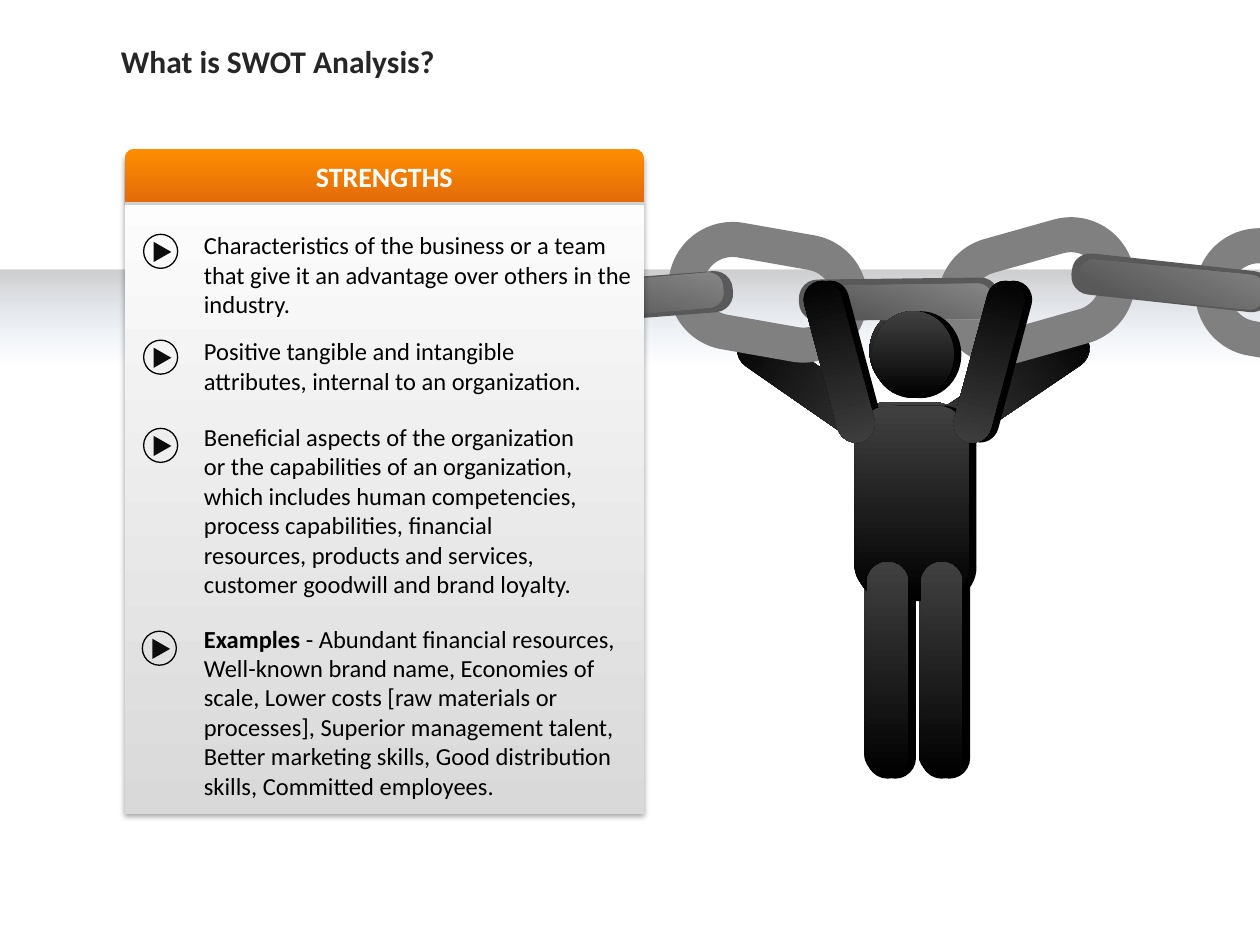
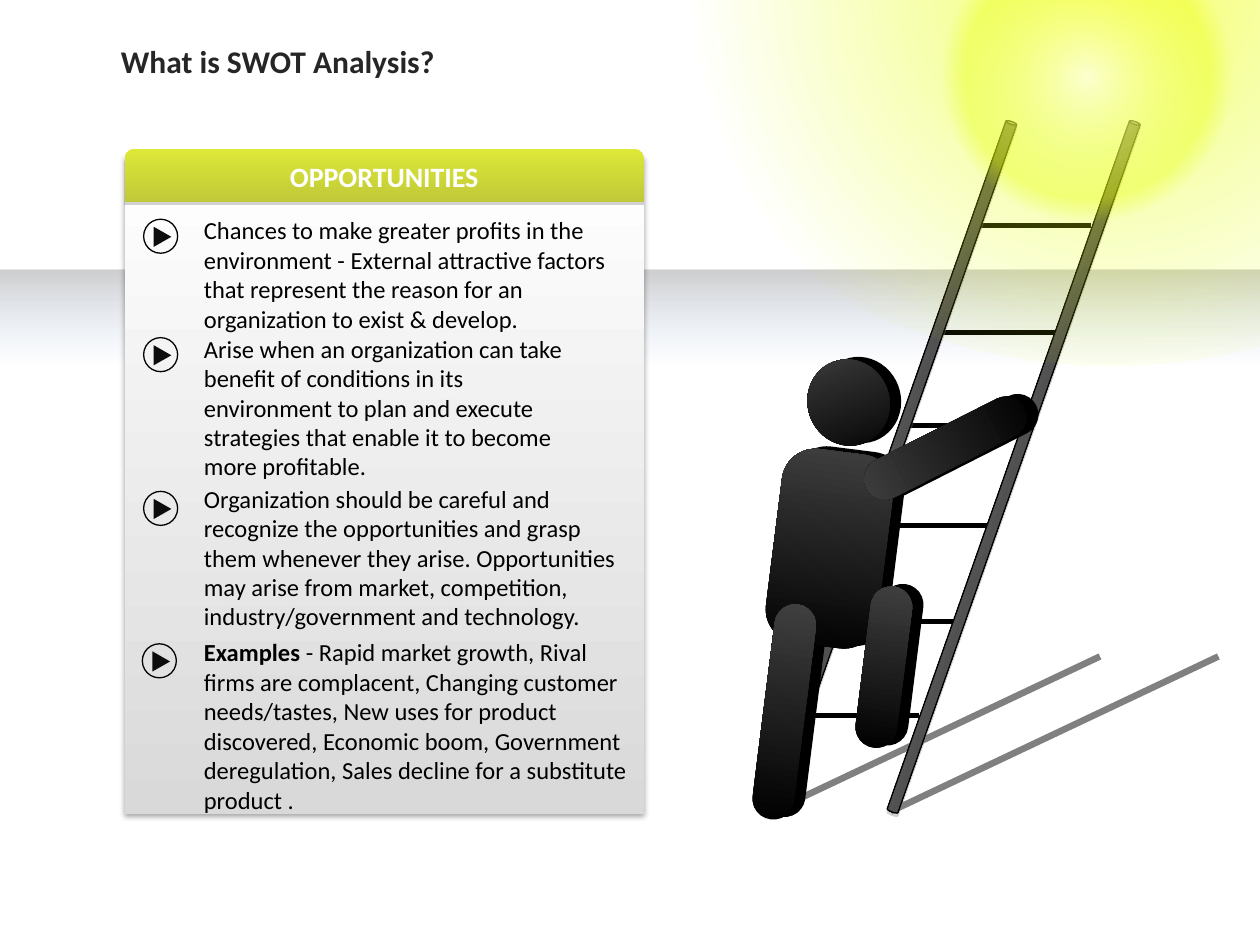
"""Build two SWOT slides: strengths and opportunities."""
from dataclasses import dataclass

from lxml import etree
from pptx import Presentation
from pptx.dml.color import RGBColor
from pptx.enum.shapes import MSO_CONNECTOR, MSO_SHAPE
from pptx.enum.text import MSO_ANCHOR, MSO_AUTO_SIZE, PP_ALIGN
from pptx.oxml.ns import qn
from pptx.util import Inches, Pt

RECTANGLE = MSO_SHAPE.RECTANGLE
ROUNDED = MSO_SHAPE.ROUNDED_RECTANGLE
TAB = MSO_SHAPE.ROUND_2_SAME_RECTANGLE
ELLIPSE = MSO_SHAPE.OVAL
TRIANGLE = MSO_SHAPE.ISOSCELES_TRIANGLE
CAN = MSO_SHAPE.CAN
STRAIGHT = MSO_CONNECTOR.STRAIGHT
TOP, MIDDLE = MSO_ANCHOR.TOP, MSO_ANCHOR.MIDDLE
LEFT, CENTER = PP_ALIGN.LEFT, PP_ALIGN.CENTER
GROW, FIXED = MSO_AUTO_SIZE.SHAPE_TO_FIT_TEXT, MSO_AUTO_SIZE.NONE

SLIDE_WIDTH, SLIDE_HEIGHT = Inches(10), Inches(7.5)
COLUMN, ROW = SLIDE_WIDTH / 10, SLIDE_HEIGHT / 7.5
TITLE_ONLY = 5
UP, DOWN = 270, 90


@dataclass(frozen=True)
class Theme:
    """Colours, gradients and type sizes of both slides."""
    font: str = "Calibri"
    title_size: int = 18
    heading_size: int = 16
    body_size: int = 14
    title: str = "262626"
    black: str = "000000"
    white: str = "FFFFFF"
    arrow: str = "0D0D0D"
    grey: str = "808080"
    bar: str = "595959"
    body: tuple = ((0, "000000", 100), (100, "404040", 100))
    panel: tuple = ((0, "D9D9D9", 100), (100, "FFFFFF", 100))
    horizon: tuple = ((43, "3F80CE", 0), (100, "0D0D0D", 20))
    shine: tuple = ((0, "FFFFFF", 28), (76, "FFFFFF", 0))
    rail: tuple = ((0, "000000", 100), (45, "595959", 100), (100, "000000", 100))
    halo: tuple = ((0, "FFFF00", 58), (29, "E6FF00", 34), (69, "E6FF00", 0))
    sun: tuple = ((0, "FFFFFF", 58), (43, "E6FF00", 34), (51, "E6FF00", 0))
    orange: tuple = ((0, "FF8D00", 100), (100, "E46C0A", 100))
    lime: tuple = ((0, "DDE838", 100), (100, "C1CA38", 100))


THEME = Theme()


@dataclass(frozen=True)
class Part:
    """One limb, torso or head of a figure."""
    left: float
    top: float
    width: float
    height: float
    turn: float = 0
    corner: float = 0.5
    kind: int = ROUNDED


@dataclass(frozen=True)
class Point:
    """One bulleted statement of a panel."""
    top: float
    width: float
    height: float
    icon_left: float
    icon_top: float
    text: str
    lead: str = ""


HANGING_BODY = (
    Part(6.92, 2.47, 0.65, 0.69, kind=ELLIPSE),
    Part(6.8, 3.22, 0.89, 1.55, corner=0.3),
    Part(6.88, 4.46, 0.33, 1.72),
    Part(7.31, 4.46, 0.33, 1.72),
)
RAISED_ARMS = (Part(7.7, 2.21, 0.3, 1.32, 195), Part(6.51, 2.21, 0.3, 1.32, 165))
SPREAD_ARMS = (Part(6.32, 2.4, 0.33, 1.43, 124.7), Part(7.89, 2.39, 0.33, 1.41, 236))
CLIMBER = (
    Part(6.41, 2.85, 0.65, 0.69, 339.5, kind=ELLIPSE),
    Part(6.14, 3.58, 0.89, 1.55, 7.2, 0.3),
    Part(6.06, 4.79, 0.33, 1.72, 7.2),
    Part(6.85, 4.65, 0.33, 1.29, 7.2),
    Part(7.34, 2.85, 0.33, 1.41, 243.1),
)
LINKS = ((5.44, 1.95, 10), (7.57, 1.94, 344.3), (9.62, 2, 10))
BARS = ((6.48, 2.35, 359.3), (8.64, 2.22, 6.2), (4.37, 2.34, 355.6))
SHINES = ((6.4, 2.26, 359.3), (4.26, 2.22, 355), (8.56, 2.12, 5.5))
RUNGS = ((6.36, 5.68), (6.64, 4.93), (6.93, 4.17), (7.22, 3.38), (7.47, 2.64), (7.73, 1.79))

STRENGTHS = (
    Point(1.78, 3.6, 0.81, 1.14, 1.86,
          "Characteristics of the business or a team that give it an advantage "
          "over others in the industry."),
    Point(2.62, 3.25, 0.57, 1.14, 2.7,
          "Positive tangible and intangible attributes, internal to an organization."),
    Point(3.3, 3.25, 1.52, 1.14, 3.4,
          "Beneficial aspects of the organization or the capabilities of an organization, "
          "which includes human competencies, process capabilities, financial resources, "
          "products and services, customer goodwill and brand loyalty."),
    Point(4.9, 3.6, 1.51, 1.13, 5.01,
          "- Abundant financial resources, Well-known brand name, Economies of scale, "
          "Lower costs [raw materials or processes], Superior management talent, "
          "Better marketing skills, Good distribution skills, Committed employees.",
          "Examples "),
)
OPPORTUNITIES = (
    Point(1.66, 3.6, 1.04, 1.14, 1.74,
          "Chances to make greater profits in the environment - External attractive "
          "factors that represent the reason for an organization to exist & develop."),
    Point(2.6, 3.25, 1.28, 1.14, 2.68,
          "Arise when an organization can take benefit of conditions in its environment "
          "to plan and execute strategies that enable it to become more profitable."),
    Point(3.79, 3.54, 1.28, 1.14, 3.9,
          "Organization should be careful and recognize the opportunities and grasp them "
          "whenever they arise. Opportunities may arise from market, competition, "
          "industry/government and technology."),
    Point(5.01, 3.6, 1.52, 1.13, 5.11,
          "- Rapid market growth, Rival firms are complacent, Changing customer "
          "needs/tastes, New uses for product discovered, Economic boom, Government "
          "deregulation, Sales decline for a substitute product .",
          "Examples "),
)


def on_grid(left, top, width, height):
    """Turn columns and rows into slide lengths."""
    return round(left * COLUMN), round(top * ROW), round(width * COLUMN), round(height * ROW)


def add_color(parent, color, opacity):
    """Append an RGB colour with its opacity in per cent."""
    element = etree.SubElement(parent, qn("a:srgbClr"), val=color)
    etree.SubElement(element, qn("a:alpha"), val=str(opacity * 1000))


def fill_gradient(shape, stops, angle):
    """Fill a shape with a linear gradient, or a radial one when angle is None."""
    shape.fill.gradient()
    gradient = shape._element.spPr.find(qn("a:gradFill"))
    for child in list(gradient):
        gradient.remove(child)
    stop_list = etree.SubElement(gradient, qn("a:gsLst"))
    for position, color, opacity in stops:
        add_color(etree.SubElement(stop_list, qn("a:gs"), pos=str(position * 1000)), color, opacity)
    if angle is None:
        radial = etree.SubElement(gradient, qn("a:path"), path="circle")
        etree.SubElement(radial, qn("a:fillToRect"), l="50000", t="50000", r="50000", b="50000")
    else:
        etree.SubElement(gradient, qn("a:lin"), ang=str(angle * 60000), scaled="0")


def add_shadow(shape, color, blur=0):
    """Cast a short shadow below a shape."""
    effects = shape._element.spPr.find(qn("a:effectLst"))
    shadow = etree.SubElement(effects, qn("a:outerShdw"), blurRad=str(Pt(blur)),
                              dist=str(Pt(1.8)), dir=str(DOWN * 60000), algn="t", rotWithShape="0")
    add_color(shadow, color, 35)


def add_figure_shape(slide, kind, box, fill=None, line=None, turn=0, corners=(), angle=UP):
    """Add a preset shape with a plain, gradient or empty fill."""
    shape = slide.shapes.add_shape(kind, *on_grid(*box))
    shape.shadow.inherit = False
    shape.rotation = turn
    for index, corner in enumerate(corners):
        shape.adjustments[index] = corner
    if fill is None:
        shape.fill.background()
    elif isinstance(fill, str):
        shape.fill.solid()
        shape.fill.fore_color.rgb = RGBColor.from_string(fill)
    else:
        fill_gradient(shape, fill, angle)
    if line:
        color, width = line
        shape.line.color.rgb = RGBColor.from_string(color)
        shape.line.width = Pt(width)
    else:
        shape.line.fill.background()
    return shape


def add_line(slide, start, end, color, width):
    """Add a straight line between two grid points."""
    line = slide.shapes.add_connector(STRAIGHT, *on_grid(*start, *end))
    line.line.color.rgb = RGBColor.from_string(color)
    line.line.width = Pt(width)
    etree.SubElement(line._element.spPr, qn("a:effectLst"))


def write(shape, runs, size, color, align=LEFT, anchor=TOP, fit=GROW):
    """Write (text, bold) runs as the only paragraph of a shape."""
    frame = shape.text_frame
    frame.word_wrap = True
    frame.auto_size = fit
    frame.vertical_anchor = anchor
    paragraph = frame.paragraphs[0]
    paragraph.alignment = align
    for text, bold in runs:
        run = paragraph.add_run()
        run.text = text
        run.font.name = THEME.font
        run.font.size = Pt(size)
        run.font.bold = bold
        run.font.color.rgb = RGBColor.from_string(color)


def add_base(presentation):
    """Start a slide with the shared title and horizon band."""
    slide = presentation.slides.add_slide(presentation.slide_layouts[TITLE_ONLY])
    title = slide.shapes.title
    title.left, title.top, title.width, title.height = on_grid(0.86, 0.28, 5.82, 0.51)
    write(title, [("What is SWOT Analysis?", True)], THEME.title_size, THEME.title, fit=FIXED)
    add_figure_shape(slide, RECTANGLE, (0, 2.14, 10, 1.32), THEME.horizon)
    return slide


def add_play_icon(slide, left, top):
    """Add a ringed triangle that points right."""
    add_figure_shape(slide, ELLIPSE, (left, top, 0.27, 0.27), line=(THEME.black, 0.75))
    add_figure_shape(slide, TRIANGLE, (left + 0.07, top + 0.07, 0.16, 0.14), THEME.arrow, turn=90)


def add_panel(slide, heading, heading_fill, points):
    """Add the panel with its heading and bulleted statements."""
    panel = add_figure_shape(slide, RECTANGLE, (0.99, 1.24, 4.12, 5.22), THEME.panel)
    add_shadow(panel, THEME.black, 3.1)
    tab = add_figure_shape(slide, TAB, (0.99, 1.18, 4.12, 0.42), heading_fill,
                           corners=(0.18, 0), angle=DOWN)
    add_shadow(tab, THEME.grey)
    write(tab, [(heading, True)], THEME.heading_size, THEME.white, CENTER, MIDDLE, FIXED)
    for point in points:
        box = slide.shapes.add_textbox(*on_grid(1.52, point.top, point.width, point.height))
        runs = [(point.lead, True)] if point.lead else []
        write(box, runs + [(point.text, False)], THEME.body_size, THEME.black)
        add_play_icon(slide, point.icon_left, point.icon_top)


def add_person(slide, parts, fill, shift=(0, 0)):
    """Add a pictogram person, moved by a shift."""
    for part in parts:
        box = (part.left + shift[0], part.top + shift[1], part.width, part.height)
        corners = (part.corner,) if part.kind == ROUNDED else ()
        add_figure_shape(slide, part.kind, box, fill, turn=part.turn, corners=corners)


def add_chain(slide):
    """Add open links, the bars that join them and their shine."""
    for left, top, turn in LINKS:
        add_figure_shape(slide, ROUNDED, (left, top, 1.31, 0.74), line=(THEME.grey, 20),
                         turn=turn, corners=(0.5,))
    for left, top, turn in BARS:
        add_figure_shape(slide, ROUNDED, (left, top, 1.31, 0.05), line=(THEME.bar, 20), turn=turn)
    for left, top, turn in SHINES:
        add_figure_shape(slide, ROUNDED, (left, top, 1.48, 0.28), THEME.shine, turn=turn,
                         corners=(0.43,), angle=110)


def add_ladder(slide):
    """Add the ladder with its cast shadow."""
    for left in (7.07, 6.13):
        add_line(slide, (left, 6.44), (left + 2.6, 5.21), THEME.grey, 3.75)
    for left, top in RUNGS:
        add_line(slide, (left, top), (left + 0.93, top), THEME.black, 2.75)
    for left in (8, 7.02):
        rail = add_figure_shape(slide, CAN, (left, 0.8, 0.09, 5.81), THEME.rail,
                                (THEME.black, 0.75), 19.4, (0.25,), angle=0)
        add_shadow(rail, THEME.grey)


def add_sun(slide):
    """Add the sun and its wide halo."""
    add_figure_shape(slide, ELLIPSE, (5.06, -3.19, 7.52, 6.09), THEME.halo, angle=None)
    add_figure_shape(slide, ELLIPSE, (6.93, -0.91, 3.39, 3.03), THEME.sun, angle=None)


def main():
    """Build and save both slides."""
    presentation = Presentation()
    presentation.slide_width, presentation.slide_height = SLIDE_WIDTH, SLIDE_HEIGHT

    slide = add_base(presentation)
    add_person(slide, HANGING_BODY + SPREAD_ARMS, THEME.body, (-0.02, -0.03))
    add_chain(slide)
    add_panel(slide, "STRENGTHS", THEME.orange, STRENGTHS)
    add_person(slide, HANGING_BODY + RAISED_ARMS, THEME.black, (0.06, 0))
    add_person(slide, HANGING_BODY + RAISED_ARMS, THEME.body)

    slide = add_base(presentation)
    add_ladder(slide)
    add_sun(slide)
    add_person(slide, CLIMBER, THEME.black, (0.09, -0.02))
    add_person(slide, CLIMBER, THEME.body)
    add_panel(slide, "OPPORTUNITIES", THEME.lime, OPPORTUNITIES)

    presentation.save("out.pptx")


if __name__ == "__main__":
    main()
